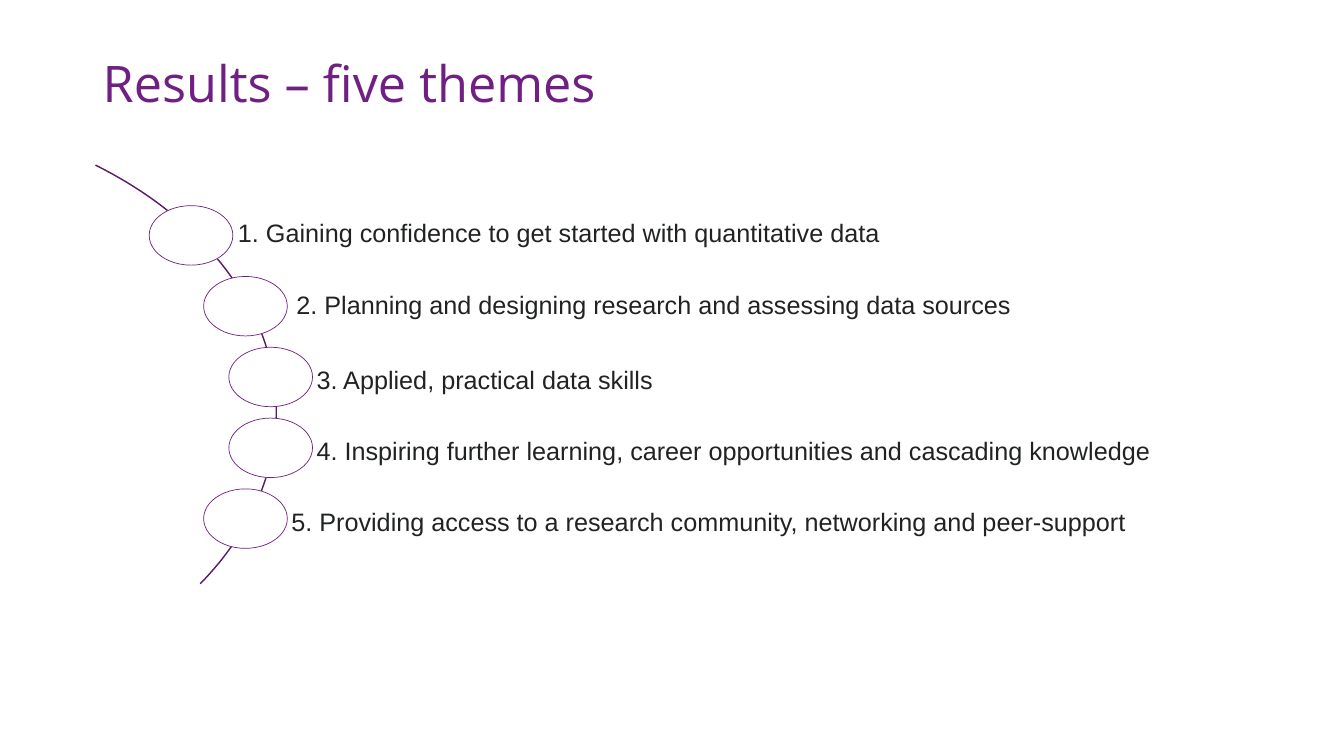
from pptx import Presentation
from pptx.dml.color import RGBColor
from pptx.enum.shapes import MSO_SHAPE as Shape
from pptx.enum.text import MSO_ANCHOR as Anchor, PP_ALIGN as Align
from pptx.util import Inches, Pt

PURPLE = RGBColor(0x70, 0x20, 0x82)
DARK_PURPLE = RGBColor(0x5A, 0x1A, 0x68)
INK = RGBColor(0x21, 0x23, 0x22)
WHITE = RGBColor(0xFF, 0xFF, 0xFF)

THEMES = [
    (1.48, 1.99, 9.68, 0.37, 0.04, "1. Gaining confidence to get started with quantitative data"),
    (2.02, 2.5, 9.13, 0.44, 0.06, "2. Planning and designing research and assessing data sources"),
    (2.27, 2.69, 8.88, 0.45, 0.15, "3. Applied, practical data skills"),
    (2.27, 2.69, 8.88, 0.45, 0.15,
     "4. Inspiring further learning, career opportunities and cascading knowledge"),
    (2.02, 2.44, 9.13, 0.45, 0.15,
     "5. Providing access to a research community, networking and peer-support"),
]
FIRST_TOP, LAST_TOP = 2.1, 4.91


def write(sp, text, *, font, size, color, insets):
    tf = sp.text_frame
    tf.word_wrap = True
    tf.vertical_anchor = Anchor.MIDDLE
    tf.margin_left, tf.margin_top, tf.margin_right, tf.margin_bottom = map(Inches, insets)
    p = tf.paragraphs[0]
    p.alignment = Align.LEFT
    p.line_spacing = 0.9
    r = p.add_run()
    r.text = text
    r.font.name = font
    r.font.size = Pt(size)
    r.font.color.rgb = color


class ThemeSlide:
    """Holds the style and the slide that the themes are drawn on."""

    def __init__(self, s, heading_font="Open Sans", body_font="Arial"):
        self.s = s
        self.heading_font = heading_font
        self.body_font = body_font

    def shape(self, kind, box, fill=None, line=None, width=1):
        sp = self.s.shapes.add_shape(kind, *map(Inches, box))
        sp.shadow.inherit = False
        if fill is None:
            sp.fill.background()
        else:
            sp.fill.solid()
            sp.fill.fore_color.rgb = fill
        if line is None:
            sp.line.fill.background()
        else:
            sp.line.color.rgb = line
            sp.line.width = Pt(width)
        return sp

    def title(self, text):
        sp = self.s.shapes.add_textbox(*map(Inches, (0.92, 0.56, 10.91, 0.6)))
        write(sp, text, font=self.heading_font, size=36, color=PURPLE,
              insets=(0.1, 0.05, 0.1, 0.05))

    def arc(self):
        sp = self.shape(Shape.BLOCK_ARC, (-5.73, 1.09, 8.47, 5.99), line=DARK_PURPLE)
        for i, value in enumerate((189, 15.658, 0)):
            sp.adjustments[i] = value

    def label(self, text, box, inset_left, inset_top):
        sp = self.shape(Shape.RECTANGLE, box, fill=WHITE)
        write(sp, text, font=self.body_font, size=18, color=INK,
              insets=(inset_left, inset_top, 0.06, 0.06))

    def bubble(self, left, top):
        self.shape(Shape.OVAL, (left, top, 0.83, 0.59), fill=WHITE, line=PURPLE, width=0.5)


def main():
    prs = Presentation()
    prs.slide_width, prs.slide_height = Inches(13.33), Inches(7.5)
    slide = ThemeSlide(prs.slides.add_slide(prs.slide_layouts[6]))
    slide.title("Results – five themes")
    slide.arc()
    step = (LAST_TOP - FIRST_TOP) / (len(THEMES) - 1)
    for i, (bubble_left, left, width, inset_left, inset_top, text) in enumerate(THEMES):
        top = FIRST_TOP + i * step
        slide.label(text, (left, top, width, 0.47), inset_left, inset_top)
        slide.bubble(bubble_left, top - 0.06)
    prs.save("out.pptx")


if __name__ == "__main__":
    main()
